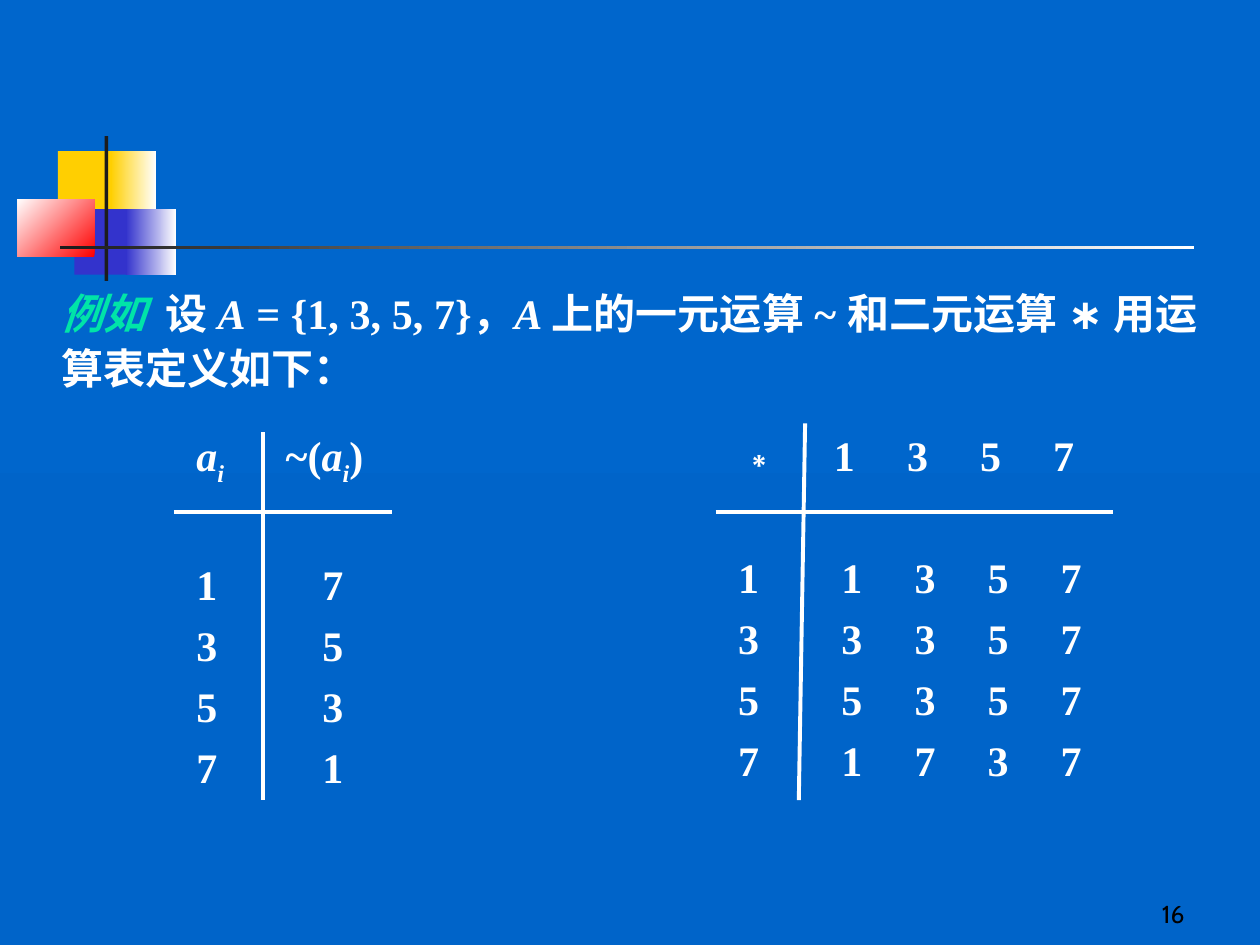
from lxml import etree
from pptx import Presentation
from pptx.dml.color import RGBColor
from pptx.enum.shapes import MSO_CONNECTOR, MSO_SHAPE
from pptx.enum.text import MSO_ANCHOR, PP_ALIGN
from pptx.oxml.ns import qn
from pptx.util import Inches, Pt

STRAIGHT = MSO_CONNECTOR.STRAIGHT
RECTANGLE = MSO_SHAPE.RECTANGLE
TOP, BOTTOM = MSO_ANCHOR.TOP, MSO_ANCHOR.BOTTOM
LEFT, RIGHT, JUSTIFY = PP_ALIGN.LEFT, PP_ALIGN.RIGHT, PP_ALIGN.JUSTIFY

COLORS = {
    "sky": "0066CC", "sky_end": "0064C9", "white": "FFFFFF", "black": "000000",
    "yellow": "FFCF01", "indigo": "3333CC", "red": "FF0000",
    "ink": "1C1C1C", "mint": "00E4A8",
}
SERIF, SANS, NUMBER_FONT = "Times New Roman", "Arial", "Cabin"


def rgb(name):
    return RGBColor.from_string(COLORS[name])


class SlideBuilder:
    def __init__(self, slide):
        self.slide = slide

    def paint(self, fill, colors, angle=180):
        """One colour gives a solid fill, two give a gradient."""
        if len(colors) == 1:
            fill.solid()
            fill.fore_color.rgb = rgb(colors[0])
            return
        fill.gradient()
        fill.gradient_angle = angle
        for stop, color in zip(fill.gradient_stops, colors):
            stop.color.rgb = rgb(color)

    def block(self, box, colors, angle=180):
        shape = self.slide.shapes.add_shape(RECTANGLE, *map(Inches, box))
        shape.shadow.inherit = False
        shape.line.fill.background()
        self.paint(shape.fill, colors, angle)

    def rule(self, start, end):
        line = self.slide.shapes.add_connector(
            STRAIGHT, *map(Inches, start + end))
        line.line.color.rgb = rgb("white")
        line.line.width = Pt(2.24)
        etree.SubElement(line._element.spPr, qn("a:effectLst"))

    def text_box(self, box, anchor=TOP):
        frame = self.slide.shapes.add_textbox(*map(Inches, box)).text_frame
        frame.word_wrap = True
        frame.vertical_anchor = anchor
        return frame

    def add_runs(self, paragraph, pieces, align=LEFT, before=6, tabs=()):
        """Each piece is a text and its differences from the base style."""
        paragraph.alignment = align
        paragraph.space_before = Pt(before)
        if tabs:
            tab_list = etree.SubElement(
                paragraph._p.get_or_add_pPr(), qn("a:tabLst"))
            for position in tabs:
                etree.SubElement(tab_list, qn("a:tab"),
                                 pos=str(Inches(position)), algn="l")
        for text, style in pieces:
            run = paragraph.add_run()
            run.text = text
            font = run.font
            font.name = style.get("font", SERIF)
            font.size = Pt(style.get("size", 24))
            font.bold = style.get("bold", True)
            font.italic = style.get("italic", False)
            font.color.rgb = rgb(style.get("color", "white"))
            if "baseline" in style:
                run._r.get_or_add_rPr().set("baseline", style["baseline"])

    def operation_table(self, box, header, header_tabs, rows, row_tabs, gap):
        frame = self.text_box(box)
        self.add_runs(frame.paragraphs[0], header, tabs=header_tabs)
        for index, row in enumerate(rows):
            self.add_runs(frame.add_paragraph(), [("\t".join(row), {})],
                          before=6 if index else gap, tabs=row_tabs)


prs = Presentation()
prs.slide_width, prs.slide_height = Inches(10), Inches(7.5)
slide = prs.slides.add_slide(prs.slide_layouts[6])
builder = SlideBuilder(slide)
builder.paint(slide.background.fill, ["sky", "sky_end"], 270)

# Corner ornament and title rule
for box, colors, angle in [
    ((0.46, 1.2, 0.48, 0.52), ["yellow"], 0),
    ((0.88, 1.2, 0.36, 0.52), ["white", "yellow"], 180),
    ((0.59, 1.66, 0.46, 0.52), ["indigo"], 0),
    ((1, 1.66, 0.4, 0.52), ["white", "indigo"], 180),
    ((0.14, 1.58, 0.61, 0.46), ["red", "white"], 135),
    ((0.83, 1.08, 0.03, 1.15), ["ink"], 0),
    ((0.48, 1.95, 9, 0.03), ["white", "ink"], 180),
]:
    builder.block(box, colors, angle)

# Page number
page_number = builder.text_box((7.42, 6.92, 2.08, 0.5), BOTTOM)
builder.add_runs(page_number.paragraphs[0], [
    ("16", {"font": NUMBER_FONT, "size": 14, "bold": False,
            "color": "black"})], RIGHT, 0)

# Problem statement
ITALIC = {"italic": True}
statement = builder.text_box((0.39, 2.19, 9.21, 0.98)).paragraphs[0]
statement.line_spacing = 1.1
builder.add_runs(statement, [
    ("例如", {"italic": True, "color": "mint"}),
    ("  设 ", {}),
    ("A", ITALIC),
    (" = {1, 3, 5, 7}，", {}),
    ("A ", ITALIC),
    ("上的一元运算 ~ 和二元运算 ", {}),
    ("∗ ", {"font": SANS}),
    ("用运算表定义如下：", {}),
], JUSTIFY)

# Unary operation
SUBSCRIPT = {"italic": True, "baseline": "-25000"}
builder.rule((1.38, 4.06), (3.11, 4.06))
builder.rule((2.09, 3.43), (2.09, 6.35))
builder.operation_table(
    (1.46, 3.36, 1.73, 2.98),
    [("a", ITALIC), ("i", SUBSCRIPT), ("\t~(", {}),
     ("a", ITALIC), ("i", SUBSCRIPT), (")", {})],
    [0.71], ["17", "35", "53", "71"], [1], 41)

# Binary operation
COLUMN_STEP = 0.58
builder.rule((5.68, 4.06), (8.83, 4.06))
builder.rule((6.39, 3.36), (6.34, 6.35))
builder.operation_table(
    (5.76, 3.36, 3.18, 3.32),
    [("∗", {"font": SANS}), ("\t1\t3\t5\t7", {})],
    [0.76 + COLUMN_STEP * i for i in range(4)],
    ["11357", "33357", "55357", "71737"],
    [0.82 + COLUMN_STEP * i for i in range(4)], 41)

prs.save("out.pptx")
